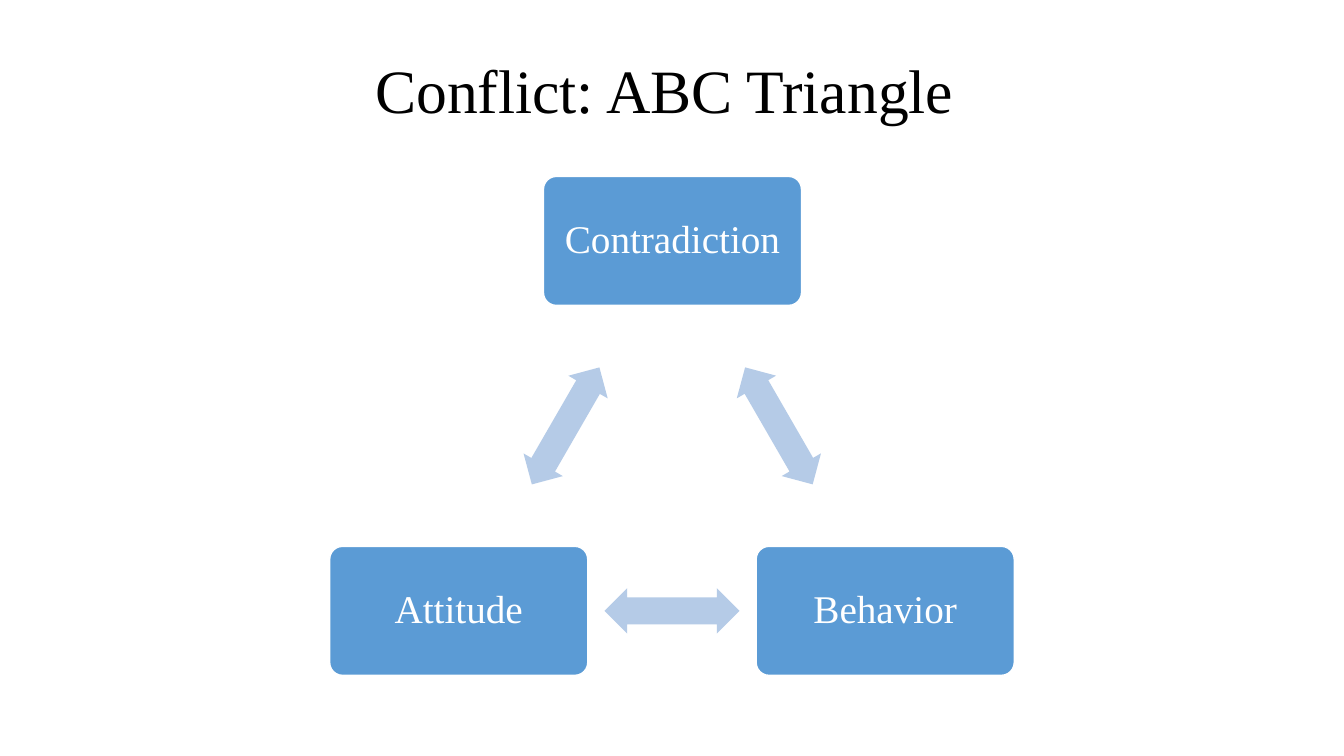
from dataclasses import dataclass

from pptx import Presentation
from pptx import util as u
from pptx.dml.color import RGBColor
from pptx.enum import shapes, text


@dataclass(frozen=True)
class Theme:
    font: str = "Times New Roman"
    title_size: int = 44
    corner_size: int = 28
    title_color: str = "000000"
    box_fill: str = "5B9BD5"
    box_text: str = "FFFFFF"
    arrow_fill: str = "B5CBE7"


@dataclass(frozen=True)
class Corner:
    label: str
    x: float
    y: float


@dataclass(frozen=True)
class Link:
    start: Corner
    end: Corner
    rotation: int


THEME = Theme()
BOX_W, BOX_H = 2.56, 1.28
ARROW_W, ARROW_H = 1.34, 0.45
BOX_INSET = 0.15

CONTRADICTION = Corner("Contradiction", 6.67, 2.39)
BEHAVIOR = Corner("Behavior", 8.78, 6.06)
ATTITUDE = Corner("Attitude", 4.55, 6.06)
CORNERS = [CONTRADICTION, BEHAVIOR, ATTITUDE]
LINKS = [
    Link(CONTRADICTION, BEHAVIOR, 60),
    Link(BEHAVIOR, ATTITUDE, 180),
    Link(ATTITUDE, CONTRADICTION, 300),
]


def set_text(sp, content: str, size: int, color: str) -> None:
    tf = sp.text_frame
    tf.text = content
    tf.word_wrap = True
    tf.vertical_anchor = text.MSO_ANCHOR.MIDDLE
    p = tf.paragraphs[0]
    p.alignment = text.PP_ALIGN.CENTER
    p.line_spacing = 0.9
    font = p.runs[0].font
    font.name = THEME.font
    font.size = u.Pt(size)
    font.color.rgb = RGBColor.from_string(color)


def add_centered(s, kind, x: float, y: float, w: float, h: float, fill: str):
    sp = s.shapes.add_shape(kind, u.Inches(x - w / 2), u.Inches(y - h / 2),
                            u.Inches(w), u.Inches(h))
    sp.shadow.inherit = False
    sp.fill.solid()
    sp.fill.fore_color.rgb = RGBColor.from_string(fill)
    sp.line.fill.background()
    return sp


def add_corner(s, corner: Corner) -> None:
    sp = add_centered(s, shapes.MSO_SHAPE.ROUNDED_RECTANGLE, corner.x, corner.y,
                      BOX_W, BOX_H, THEME.box_fill)
    sp.adjustments[0] = 0.1
    sp.line.color.rgb = RGBColor.from_string(THEME.box_text)
    sp.line.width = u.Pt(1)
    set_text(sp, corner.label, THEME.corner_size, THEME.box_text)
    tf = sp.text_frame
    tf.margin_left = tf.margin_right = u.Inches(BOX_INSET)
    tf.margin_top = tf.margin_bottom = u.Inches(BOX_INSET)


def add_link(s, link: Link) -> None:
    x = (link.start.x + link.end.x) / 2
    y = (link.start.y + link.end.y) / 2
    sp = add_centered(s, shapes.MSO_SHAPE.LEFT_RIGHT_ARROW, x, y,
                      ARROW_W, ARROW_H, THEME.arrow_fill)
    sp.adjustments[0] = 0.6
    sp.adjustments[1] = 0.5
    sp.rotation = link.rotation


def main() -> None:
    prs = Presentation()
    prs.slide_width = u.Inches(13.33)
    prs.slide_height = u.Inches(7.5)
    s = prs.slides.add_slide(prs.slide_layouts[5])

    title = s.shapes.title
    title.left, title.top = u.Inches(0.92), u.Inches(0.4)
    title.width, title.height = u.Inches(11.5), u.Inches(1.06)
    set_text(title, "Conflict: ABC Triangle ", THEME.title_size, THEME.title_color)

    for corner, link in zip(CORNERS, LINKS):
        add_corner(s, corner)
        add_link(s, link)

    prs.save("out.pptx")


if __name__ == "__main__":
    main()
